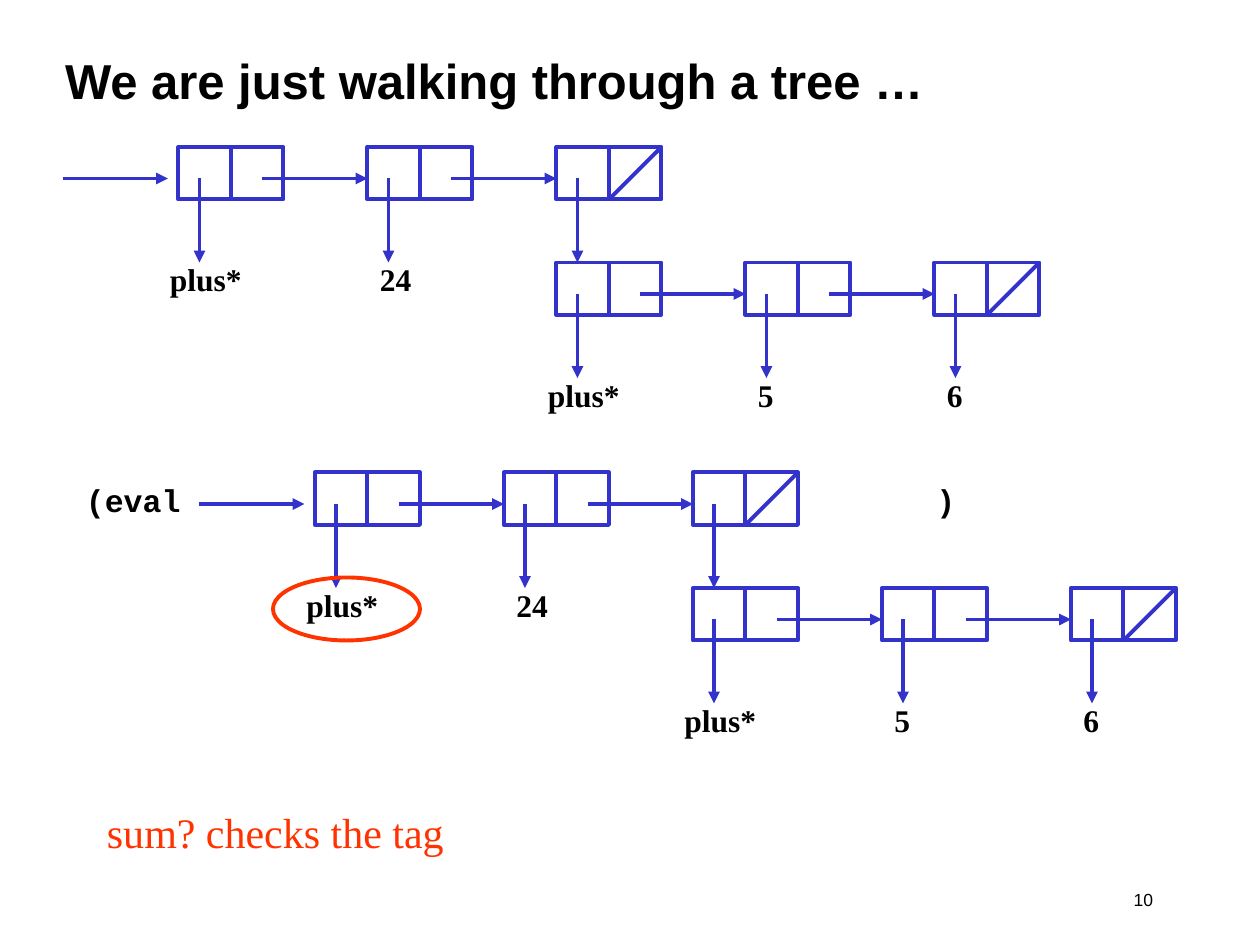
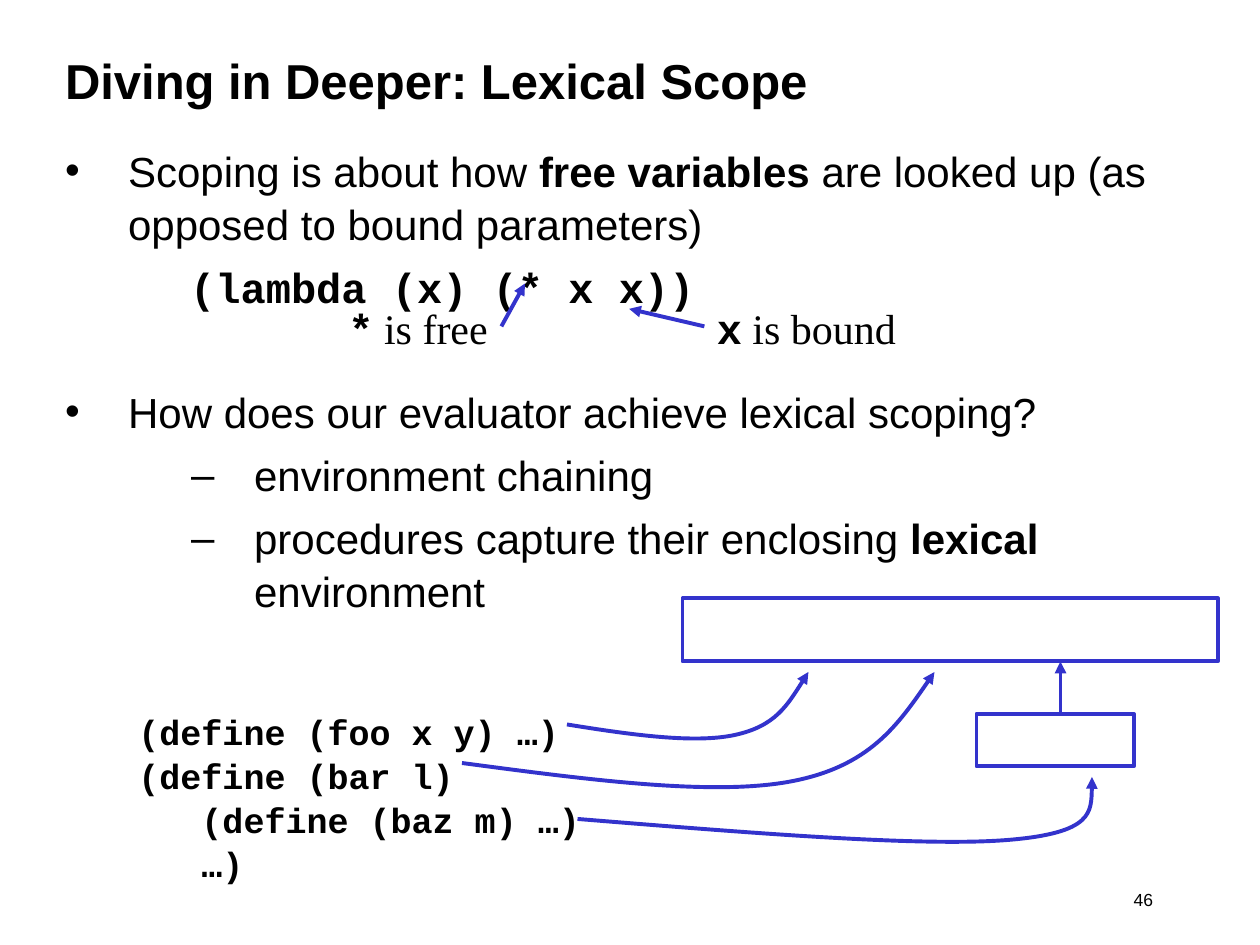
"""Builds two lecture slides on evaluating expression trees and lexical scope."""
from lxml import etree
from pptx import Presentation
from pptx.dml.color import RGBColor
from pptx.enum.shapes import MSO_CONNECTOR, MSO_SHAPE
from pptx.enum.text import MSO_ANCHOR, MSO_AUTO_SIZE, PP_ALIGN
from pptx.oxml.ns import qn
from pptx.util import Pt

STRAIGHT = MSO_CONNECTOR.STRAIGHT
RECT, OVAL = MSO_SHAPE.RECTANGLE, MSO_SHAPE.OVAL
TOP, MIDDLE = MSO_ANCHOR.TOP, MSO_ANCHOR.MIDDLE
LEFT, RIGHT = PP_ALIGN.LEFT, PP_ALIGN.RIGHT
NO_FIT = MSO_AUTO_SIZE.NONE

BLACK = RGBColor(0x00, 0x00, 0x00)
BLUE = RGBColor(0x33, 0x33, 0xCC)
RED = RGBColor(0xFF, 0x33, 0x00)

SANS, SERIF, MONO = "Arial", "Times New Roman", "Courier New"
TITLE = {"name": SANS, "size": Pt(28), "bold": True}
BODY = {"name": SANS, "size": Pt(24), "bold": False}
STRONG = {**BODY, "bold": True}
BODY_CODE = {**STRONG, "name": MONO}
NOTE = {**BODY, "name": SERIF}
LABEL = {"name": SERIF, "size": Pt(18), "bold": True}
EVAL = {**LABEL, "name": MONO}
CODE = {**EVAL, "size": Pt(20)}
NUMBER = {"name": SANS, "size": Pt(10), "bold": False}

LINE_SPACING = 1.05
TITLE_BOX = (30, 12, 612, 66)
BODY_BOX = (30, 78, 666, 402)
NUMBER_BOX = (492, 504, 174, 24)

CELL, PITCH, DROP = 30, 108, 66
STEM_X, STEM_Y = 12, 18
EXPRESSION = ["plus*", "24", ["plus*", "5", "6"]]
TREES = [(102, 84), (180, 270)]
EVAL_BOX, EVAL_TAB = (42, 270, 528, 29), 486
TAG_OVAL = (156, 330, 84, 36)
TAG_NOTE_BOX = (54, 456, 372, 36)

BULLETS = [
    {"runs": [("Scoping is about how ", BODY), ("free variables ", STRONG),
              ("are looked up (as opposed to bound parameters)", BODY)],
     "level": 0, "margin": 36, "bullet": "•", "before": 0},
    {"runs": [("(lambda (x) (* x x))", BODY_CODE)],
     "level": 1, "margin": 71.5, "bullet": None, "before": 6},
    {"runs": [("How does our evaluator achieve lexical scoping?", BODY)],
     "level": 0, "margin": 36, "bullet": "•", "before": 41},
    {"runs": [("environment chaining", BODY)],
     "level": 2, "margin": 108, "bullet": "–", "before": 6},
    {"runs": [("procedures capture their enclosing ", BODY), ("lexical ", STRONG),
              ("environment", BODY)],
     "level": 2, "margin": 108, "bullet": "–", "before": 6},
]
HANGING = 36
DEFINITIONS = ["(define (foo x y) …)", "(define (bar l)", "   (define (baz m) …)", "   …)"]
DEFINITIONS_BOX = (72, 401, 312, 104)
VARIABLE_NOTES = [((402.5, 168, 140, 36), "x", " is bound"),
                  ((192, 168, 110, 36), "*", " is free")]
FRAMES = [(390, 342, 306, 36), (558, 408, 90, 30)]
SCOPE_ARROWS = [(606, 408, 606, 378), (286.5, 186.5, 300, 162), (402.5, 186.5, 359.5, 176.5)]
CLOSURE_CURVES = [
    [(324, 414), (361, 420), (397, 425), (420, 420), (443, 415), (452, 400), (462, 384)],
    [(264, 436), (335.5, 445.5), (407, 455), (452, 446.5), (497, 438), (515.5, 411), (534, 384)],
    [(330, 468), (428.5, 476), (527, 484), (576, 480), (625, 476), (624, 460), (624, 444)],
]


def pts(values):
    return [Pt(v) for v in values]


def add_run(p, text, fmt, color=BLACK):
    r = p.add_run()
    r.text = text
    for key, value in fmt.items():
        setattr(r.font, key, value)
    r.font.color.rgb = color


def write(tf, paragraphs, color=BLACK, align=LEFT, anchor=TOP):
    for key, value in {"word_wrap": True, "auto_size": NO_FIT, "vertical_anchor": anchor}.items():
        setattr(tf, key, value)
    for i, runs in enumerate(paragraphs):
        p = tf.add_paragraph() if i else tf.paragraphs[0]
        for key, value in {"alignment": align, "line_spacing": LINE_SPACING,
                           "space_before": Pt(0)}.items():
            setattr(p, key, value)
        for text, fmt in runs:
            add_run(p, text, fmt, color)


def add_text(slide, box, paragraphs, **options):
    tf = slide.shapes.add_textbox(*pts(box)).text_frame
    write(tf, paragraphs, **options)
    return tf


def place(sp, box):
    for key, value in zip(("left", "top", "width", "height"), pts(box)):
        setattr(sp, key, value)


def outline(sp, color=BLUE, arrow=False):
    sp.line.color.rgb = color
    sp.line.width = Pt(2.25)
    if arrow:
        ln = sp._element.spPr.find(qn("a:ln"))
        etree.SubElement(ln, qn("a:tailEnd"), type="triangle")


def add_frame(slide, box, shape=RECT, color=BLUE):
    sp = slide.shapes.add_shape(shape, *pts(box))
    sp.shadow.inherit = False
    sp.fill.background()
    outline(sp, color)


def add_line(slide, ends, arrow=True):
    sp = slide.shapes.add_connector(STRAIGHT, *pts(ends))
    outline(sp, arrow=arrow)
    etree.SubElement(sp._element.spPr, qn("a:effectLst"))


def add_curve(slide, points):
    start, *rest = [pts(point) for point in points]
    builder = slide.shapes.build_freeform(*start)
    builder.add_line_segments(rest, close=False)
    sp = builder.convert_to_shape()
    sp.shadow.inherit = False
    sp.fill.background()
    outline(sp, arrow=True)
    segments = list(sp._element.iter(qn("a:lnTo")))
    for i in range(0, len(segments), 3):
        bezier = etree.SubElement(segments[i].getparent(), qn("a:cubicBezTo"))
        for segment in segments[i:i + 3]:
            bezier.append(segment[0])
            segment.getparent().remove(segment)


def draw_list(slide, items, x, y):
    for i, item in enumerate(items):
        left = x + i * PITCH
        middle, right = left + CELL, left + 2 * CELL
        stem_x, stem_y = left + STEM_X, y + STEM_Y
        for cell_x in (left, middle):
            add_frame(slide, (cell_x, y, CELL, CELL))
        add_line(slide, (stem_x, stem_y, stem_x, y + DROP))
        if i < len(items) - 1:
            add_line(slide, (right - STEM_X, stem_y, left + PITCH, stem_y))
        else:
            add_line(slide, (right, y, middle, y + CELL), arrow=False)
        if isinstance(item, list):
            draw_list(slide, item, left, y + DROP)
        else:
            label_x = left if item.isdigit() else left - 12
            add_text(slide, (label_x, y + DROP - 6, 96, 29), [[(item, LABEL)]])


def add_slide(prs, layout, title, number):
    slide = prs.slides.add_slide(prs.slide_layouts[layout])
    place(slide.shapes.title, TITLE_BOX)
    write(slide.shapes.title.text_frame, [[(title, TITLE)]], anchor=MIDDLE)
    add_text(slide, NUMBER_BOX, [[(number, NUMBER)]], align=RIGHT)
    return slide


def build_tree(prs):
    slide = add_slide(prs, 5, "We are just walking through a tree …", "10")
    tf = add_text(slide, EVAL_BOX, [[]])
    p = tf.paragraphs[0]
    tabs = etree.SubElement(p._p.get_or_add_pPr(), qn("a:tabLst"))
    etree.SubElement(tabs, qn("a:tab"), pos=str(Pt(EVAL_TAB)), algn="l")
    add_run(p, "(eval\t)", EVAL)
    for x, y in TREES:
        add_line(slide, (x - 66, y + STEM_Y, x - 6, y + STEM_Y))
        draw_list(slide, EXPRESSION, x, y)
    add_text(slide, TAG_NOTE_BOX, [[("sum? checks the tag", NOTE)]], color=RED)
    add_frame(slide, TAG_OVAL, OVAL, RED)


def build_scope(prs):
    slide = add_slide(prs, 1, "Diving in Deeper: Lexical Scope", "46")
    body = slide.placeholders[1]
    place(body, BODY_BOX)
    write(body.text_frame, [item["runs"] for item in BULLETS])
    for p, item in zip(body.text_frame.paragraphs, BULLETS):
        p.level = item["level"]
        p.space_before = Pt(item["before"])
        pPr = p._p.get_or_add_pPr()
        pPr.set("marL", str(Pt(item["margin"])))
        pPr.set("indent", str(Pt(-HANGING if item["bullet"] else 0)))
        if item["bullet"]:
            etree.SubElement(pPr, qn("a:buFont"), typeface=SANS)
            etree.SubElement(pPr, qn("a:buChar"), char=item["bullet"])
        else:
            etree.SubElement(pPr, qn("a:buNone"))
    add_text(slide, DEFINITIONS_BOX, [[(line, CODE)] for line in DEFINITIONS])
    for box in FRAMES:
        add_frame(slide, box)
    for points in CLOSURE_CURVES:
        add_curve(slide, points)
    for box, variable, note in VARIABLE_NOTES:
        add_text(slide, box, [[(variable, BODY_CODE), (note, NOTE)]])
    for ends in SCOPE_ARROWS:
        add_line(slide, ends)


def main():
    prs = Presentation()
    prs.slide_width, prs.slide_height = Pt(720), Pt(540)
    build_tree(prs)
    build_scope(prs)
    prs.save("out.pptx")


if __name__ == "__main__":
    main()
